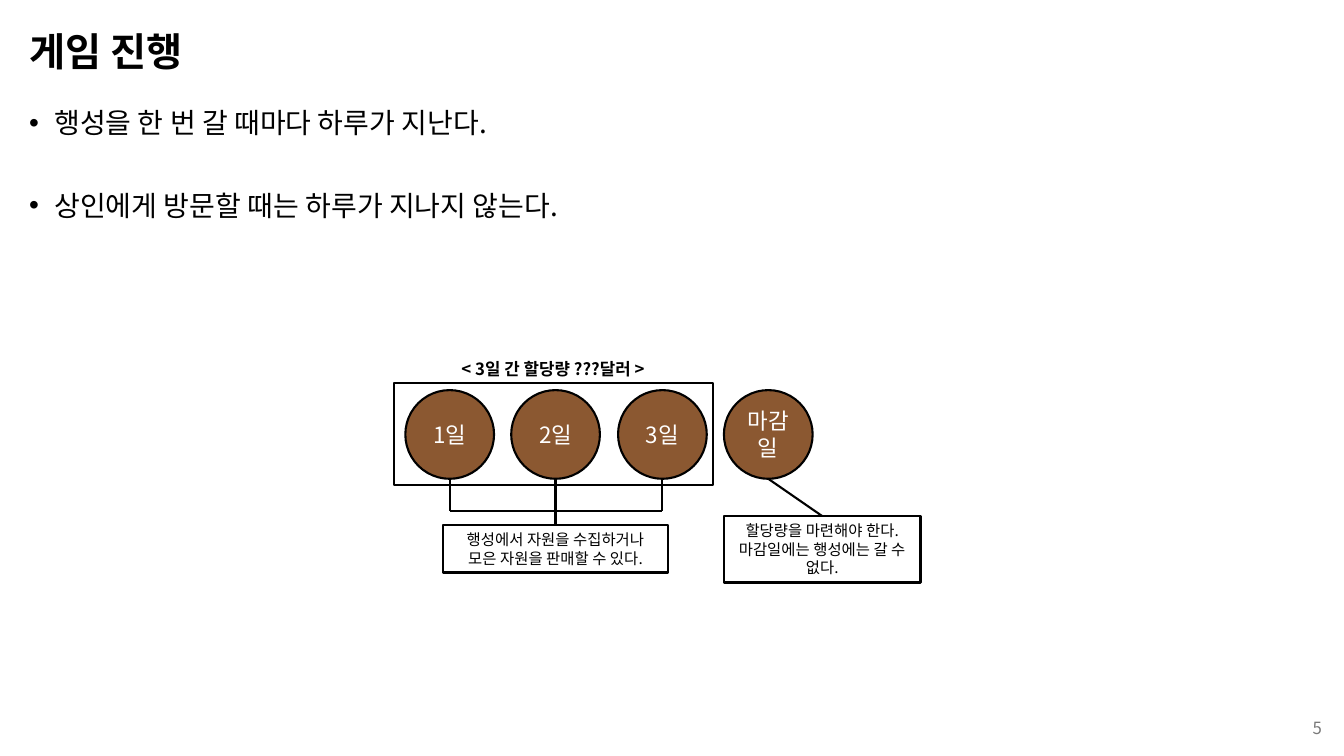
from pptx import Presentation
from pptx.dml.color import RGBColor
from pptx.enum.shapes import MSO_CONNECTOR, MSO_SHAPE
from pptx.enum.text import MSO_ANCHOR, PP_ALIGN
from pptx.util import Pt
from lxml import etree

PX = 9144  # 100 px to the inch
FONT = "Noto Sans CJK KR"
A = "{http://schemas.openxmlformats.org/drawingml/2006/main}"
C = {"ink": "000000", "planet": "8B5831", "white": "FFFFFF", "number": "797979"}


def add_box(kind, box, lines, size=11, color="ink", align=PP_ALIGN.CENTER,
            bold=False, anchor=MSO_ANCHOR.MIDDLE, fill=None):
    """Add a text box (kind None) or an outlined shape with its text."""
    box = [v * PX for v in box]
    if kind is None:
        sp = s.shapes.add_textbox(*box)
    else:
        sp = s.shapes.add_shape(kind, *box)
        sp.shadow.inherit = False
        sp.line.color.rgb = RGBColor.from_string(C["ink"])
        sp.line.width = Pt(1.5)
        if fill:
            sp.fill.solid()
            sp.fill.fore_color.rgb = RGBColor.from_string(C[fill])
        else:
            sp.fill.background()
    tf = sp.text_frame
    tf.word_wrap = True
    tf.vertical_anchor = anchor
    tf.text = "\n".join(lines)
    for p in tf.paragraphs:
        p.alignment = align
        for r in p.runs:
            r.font.size = Pt(size)
            r.font.bold = bold
            r.font.name = FONT
            r.font.color.rgb = RGBColor.from_string(C[color])
            etree.SubElement(r.font._element, A + "ea", typeface=FONT)
    return sp


def add_line(x1, y1, x2, y2):
    cx = s.shapes.add_connector(MSO_CONNECTOR.STRAIGHT, x1 * PX, y1 * PX, x2 * PX, y2 * PX)
    cx.line.color.rgb = RGBColor.from_string(C["ink"])
    cx.line.width = Pt(1.5)
    etree.SubElement(cx._element.spPr, A + "effectLst")
    return cx


prs = Presentation()
prs.slide_width, prs.slide_height = 1333 * PX, 750 * PX
s = prs.slides.add_slide(prs.slide_layouts[6])

# Title, bullets and slide number
title = add_box(None, (19, 9, 1291, 89), ["게임 진행"], 28, align=PP_ALIGN.LEFT, bold=True)
title.text_frame.paragraphs[0].line_spacing = 0.9

rules = add_box(None, (19, 104, 1291, 546),
                ["행성을 한 번 갈 때마다 하루가 지난다.", "상인에게 방문할 때는 하루가 지나지 않는다."],
                20, align=PP_ALIGN.LEFT, anchor=MSO_ANCHOR.TOP)
for i, p in enumerate(rules.text_frame.paragraphs):
    pPr = p._p.get_or_add_pPr()
    pPr.set("marL", str(25 * PX))
    pPr.set("indent", str(-25 * PX))
    etree.SubElement(pPr, A + "buFont", typeface="Arial")
    etree.SubElement(pPr, A + "buChar", char="•")
    p.line_spacing = 0.9
    p.space_before = Pt(37 * i)

add_box(None, (1021, 702, 300, 40), ["5"], 12, "number", PP_ALIGN.RIGHT)

# Quota frame with its heading
add_box(MSO_SHAPE.RECTANGLE, (391, 380, 316, 101), [])
add_box(None, (422, 351, 253, 30), ["< 3일 간 할당량 ???달러 >"], 12, bold=True)

# Day circles
centers = []
for i, day in enumerate(["1일", "2일", "3일", "마감일"]):
    left = 402 + i * 211 // 2
    add_box(MSO_SHAPE.OVAL, (left, 387, 88, 88), [day], 16, "white", fill="planet")
    centers.append(left + 44)

# Notes
days_note = add_box(MSO_SHAPE.RECTANGLE, (439, 521, 224, 47),
                    ["행성에서 자원을 수집하거나", "모은 자원을 판매할 수 있다."])
deadline_note = add_box(MSO_SHAPE.RECTANGLE, (718, 512, 195, 66),
                        ["할당량을 마련해야 한다.", "마감일에는 행성에는 갈 수 없다."])

# Bracket under the three days, and lines to the notes
day1, day2, day3, deadline = centers
for x in (day1, day3):
    add_line(x, 475, x, 507)
add_line(day1, 507, day3, 507)
add_line(day2, 475, day2, 521).end_connect(days_note, 0)
add_line(deadline, 475, 815, 512).end_connect(deadline_note, 0)

prs.save("out.pptx")
